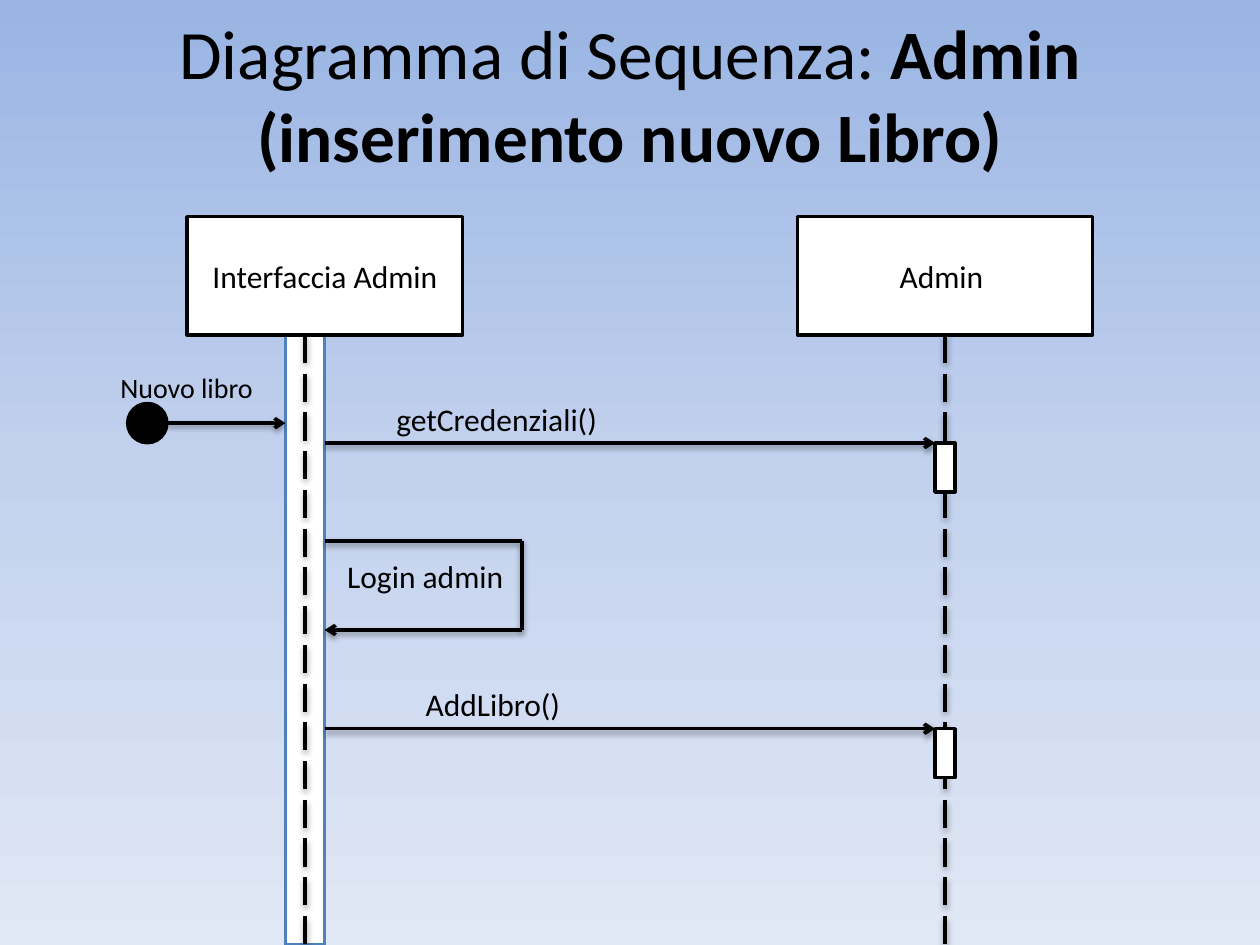
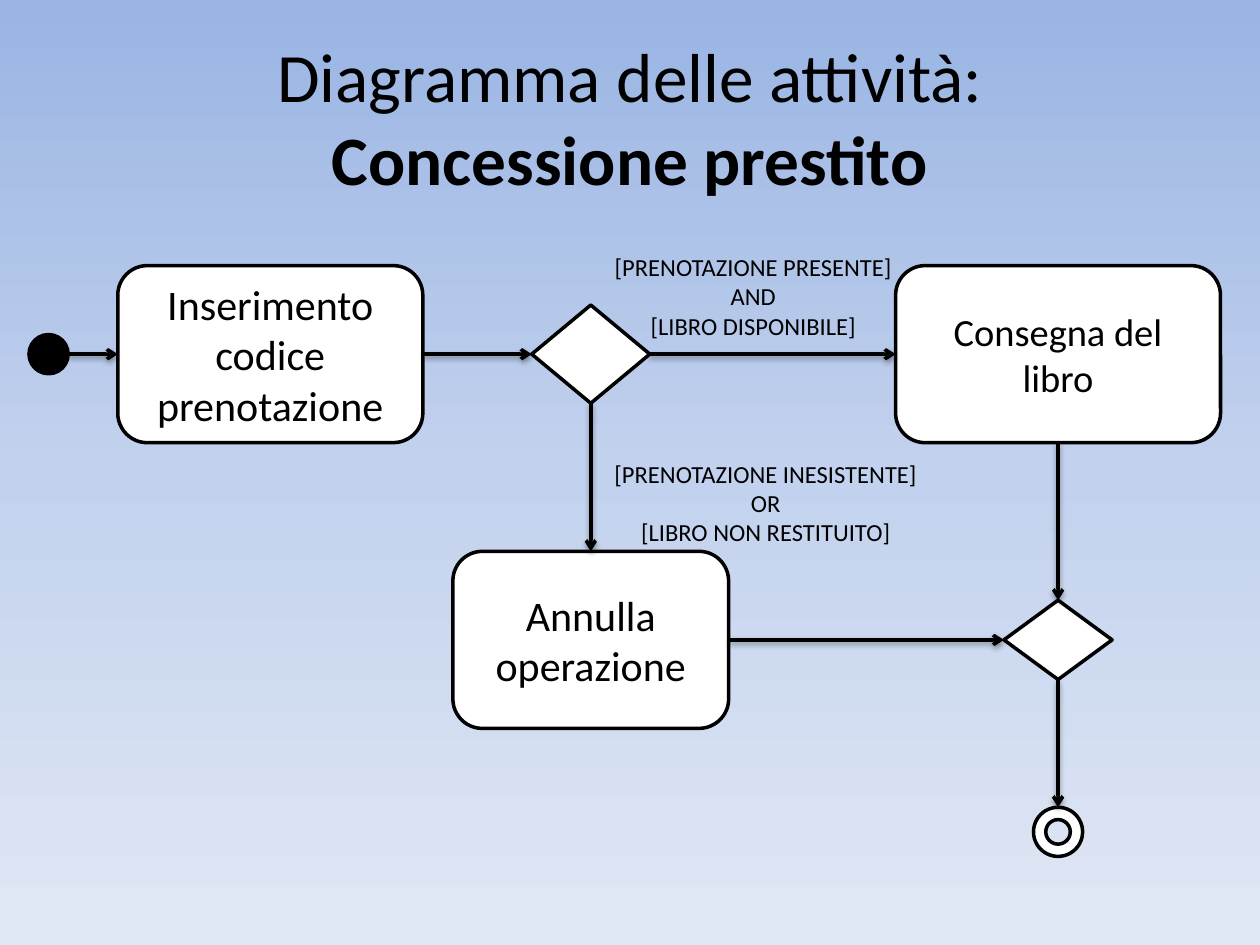
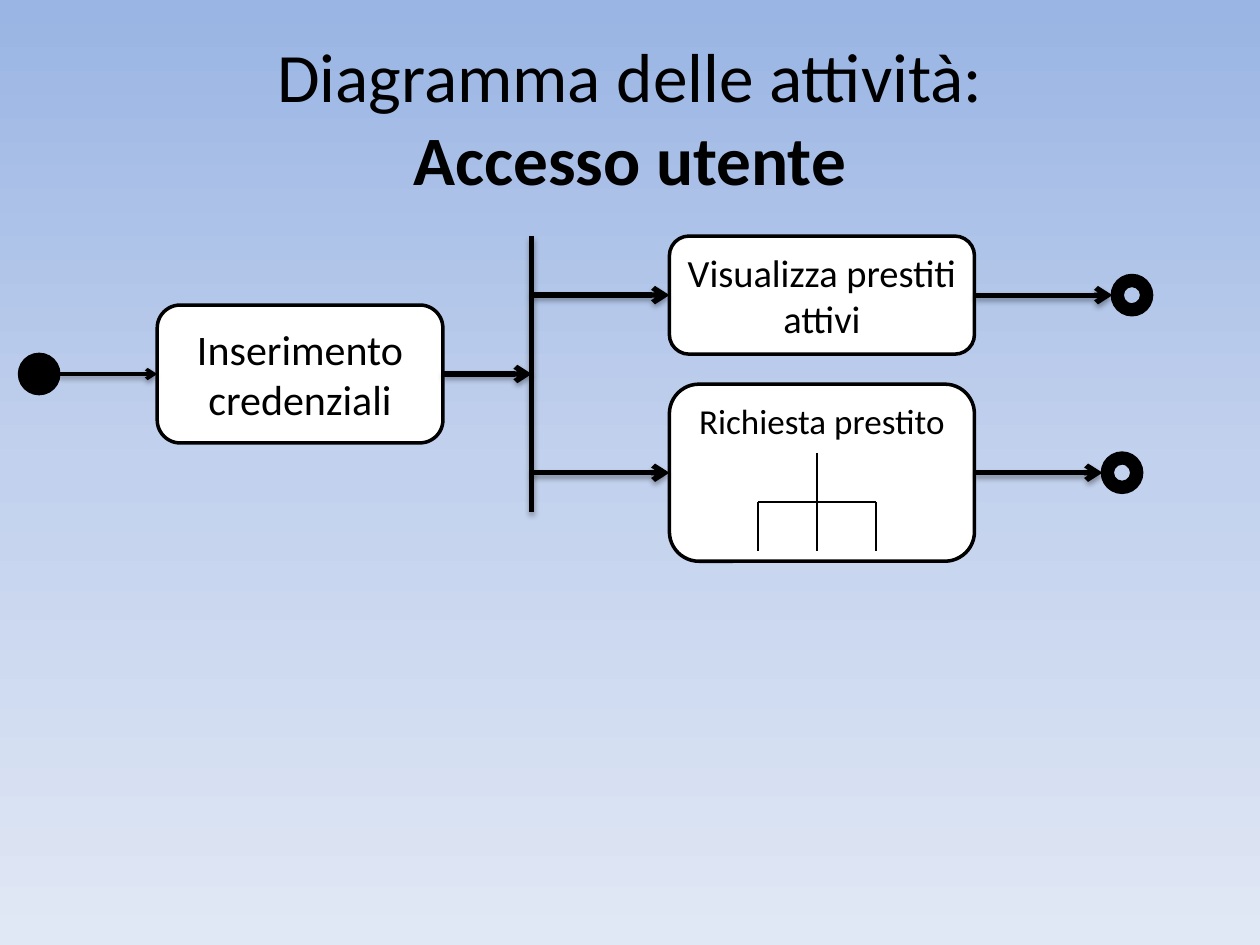
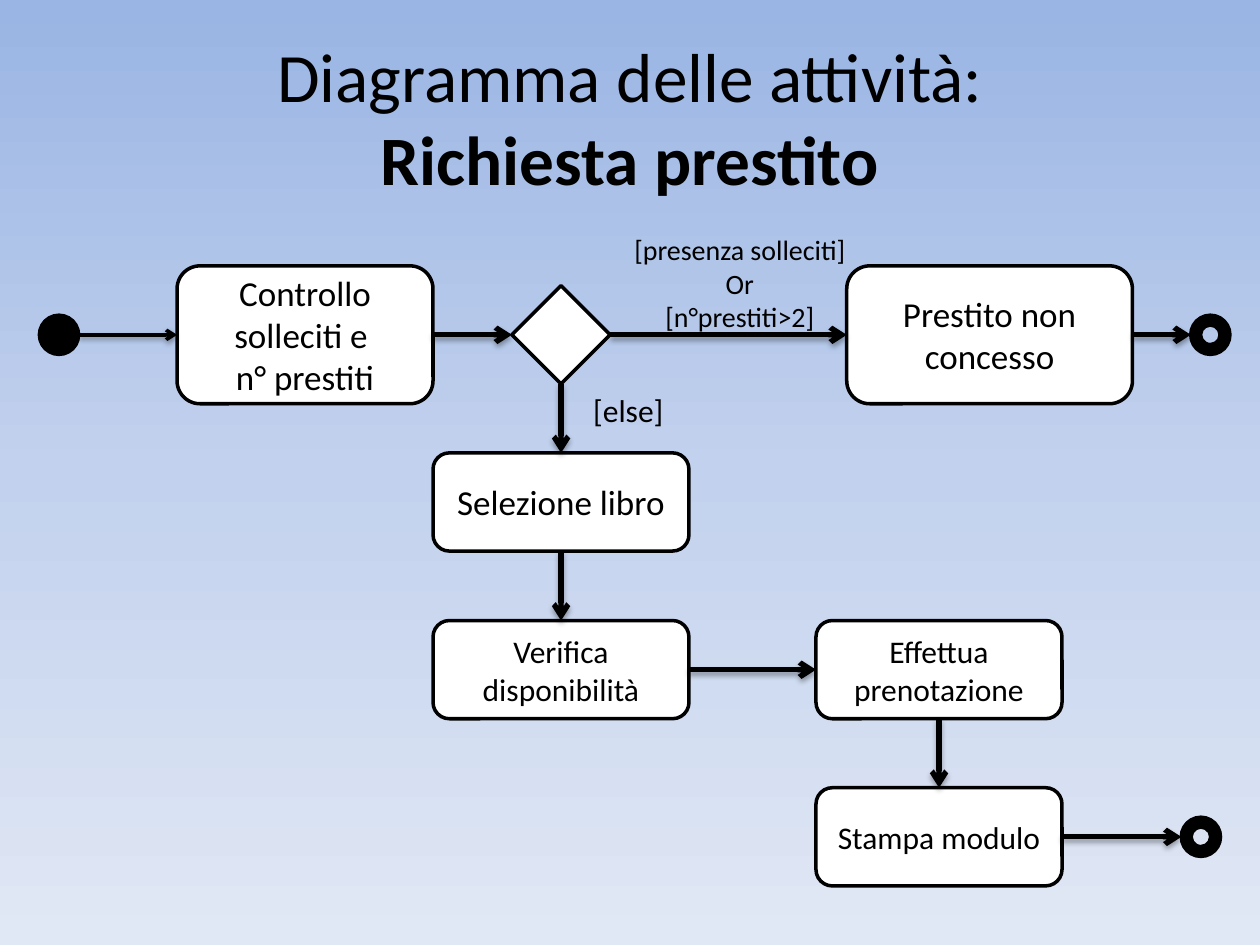
import copy

import lxml.etree
import pptx
import pptx.dml.color
import pptx.enum.dml
import pptx.enum.shapes
import pptx.enum.text
import pptx.oxml.ns
import pptx.util

Cm = pptx.util.Cm
Pt = pptx.util.Pt
RGB = pptx.dml.color.RGBColor
KIND = pptx.enum.shapes.MSO_SHAPE
ANCHOR = pptx.enum.text.MSO_ANCHOR
ALIGN = pptx.enum.text.PP_ALIGN
qn = pptx.oxml.ns.qn

BLACK = RGB(0x00, 0x00, 0x00)
WHITE = RGB(0xFF, 0xFF, 0xFF)
BLUE = RGB(0x4F, 0x81, 0xBD)
SKY = (RGB(0x9A, 0xB5, 0xE4), RGB(0xC2, 0xD1, 0xED), RGB(0xE1, 0xE8, 0xF5))
FONT = "Calibri"
SLIDE_W, SLIDE_H = 25.4, 19.05
DOT = 0.79
ACTIVITY_TITLE = (1.27, 0.76, 22.86, 3.18)


def add_run(p, text, size, bold=False):
    """Add one black run to a paragraph."""
    r = p.add_run()
    r.text = text
    r.font.name, r.font.size, r.font.bold = FONT, Pt(size), bold
    r.font.color.rgb = BLACK


def write(tf, lines, size, align):
    """Write one paragraph for each line."""
    for i, line in enumerate(lines):
        p = tf.paragraphs[0] if i == 0 else tf.add_paragraph()
        p.alignment = align
        add_run(p, line, size)


def title(s, box, plain, bold, break_after):
    """Write a two-line title; break_after is the part that ends line one."""
    tf = s.shapes.add_textbox(*map(Cm, box)).text_frame
    tf.word_wrap = True
    tf.vertical_anchor = ANCHOR.MIDDLE
    p = tf.paragraphs[0]
    p.alignment = ALIGN.CENTER
    parts = [(plain, False)] + [(text, True) for text in bold]
    for i, (text, is_bold) in enumerate(parts):
        add_run(p, text, 39.6, is_bold)
        if i == break_after:
            p.add_line_break()


class Board:
    """Drawing area whose lengths are centimetres from its top left corner."""

    def __init__(self, s, x, y, w, h):
        """Keep the slide and the box."""
        self.s, self.x, self.y, self.w, self.h = s, x, y, w, h

    def node(self, kind, cx, cy, w, h, lines=(), size=18, fill=WHITE,
             line=BLACK, anchor=ANCHOR.MIDDLE):
        """Add a shape around a centre point."""
        sp = self.s.shapes.add_shape(
            kind, Cm(self.x + cx - w / 2), Cm(self.y + cy - h / 2), Cm(w), Cm(h))
        sp.shadow.inherit = False
        sp.fill.solid()
        sp.fill.fore_color.rgb = fill
        sp.line.color.rgb = line
        sp.line.width = Pt(2)
        sp.text_frame.vertical_anchor = anchor
        write(sp.text_frame, lines, size, ALIGN.CENTER)
        return sp

    def action(self, cx, cy, w, h, lines, size, anchor=ANCHOR.MIDDLE):
        """Add a rounded activity box."""
        return self.node(KIND.ROUNDED_RECTANGLE, cx, cy, w, h, lines, size,
                         anchor=anchor)

    def start(self, cx, cy):
        """Add a start dot."""
        return self.node(KIND.OVAL, cx, cy, DOT, DOT, fill=BLACK)

    def end(self, cx, cy, d=DOT, fill=BLACK):
        """Add an end ring."""
        return self.node(KIND.DONUT, cx, cy, d, d, fill=fill)

    def label(self, x, y, w, h, lines, size, align=ALIGN.CENTER, wrap=False):
        """Add free text."""
        tf = self.s.shapes.add_textbox(
            Cm(self.x + x), Cm(self.y + y), Cm(w), Cm(h)).text_frame
        tf.word_wrap = wrap
        tf.auto_size = pptx.enum.text.MSO_AUTO_SIZE.SHAPE_TO_FIT_TEXT
        write(tf, lines, size, align)

    def line(self, x1, y1, x2, y2, **look):
        """Add a line between two points of the board."""
        points = (self.x + x1, self.y + y1, self.x + x2, self.y + y2)
        self.stroke(*map(Cm, points), **look)

    def across(self, a, b, width=3):
        """Point an arrow from the right of a to the left of b."""
        y = a.top + a.height // 2
        self.stroke(a.left + a.width, y, b.left, y, width, arrow=True)

    def down(self, a, b, width=3):
        """Point an arrow from the bottom of a to the top of b."""
        x = a.left + a.width // 2
        self.stroke(x, a.top + a.height, x, b.top, width, arrow=True)

    def stroke(self, x1, y1, x2, y2, width=2, arrow=False, dash=False, shadow=True):
        """Add a styled connector."""
        c = self.s.shapes.add_connector(
            pptx.enum.shapes.MSO_CONNECTOR.STRAIGHT, x1, y1, x2, y2)
        c.line.color.rgb = BLACK
        c.line.width = Pt(width)
        if dash:
            c.line.dash_style = pptx.enum.dml.MSO_LINE.LONG_DASH
        spPr = c.element.spPr
        if arrow:
            lxml.etree.SubElement(spPr.find(qn("a:ln")), qn("a:tailEnd"), type="arrow")
        effects = lxml.etree.SubElement(spPr, qn("a:effectLst"))
        if shadow:
            dist, alpha = ("23000", "35000") if width == 3 else ("20000", "38000")
            outer = lxml.etree.SubElement(
                effects, qn("a:outerShdw"), blurRad="40000", dist=dist,
                dir="5400000", rotWithShape="0")
            color = lxml.etree.SubElement(outer, qn("a:srgbClr"), val=str(BLACK))
            lxml.etree.SubElement(color, qn("a:alpha"), val=alpha)


def new_book_sequence(s, box):
    """Draw the sequence diagram for a new book."""
    b = Board(s, *box)
    head_h, strip_w, bar_w, bar_h = 2.38, 0.79, 0.4, 0.99
    strip_x, admin_x = 6.15, 19.05
    strip_right, bar_left = strip_x + strip_w / 2, admin_x - bar_w / 2
    start_x, start_y = 2.97, 4.16
    loop_right, loop_top, loop_bottom = 10.52, 6.54, 8.33
    calls = [(4.56, 7.74, 5.76, "getCredenziali()", True),
             (10.32, 8.33, 3.26, "AddLibro()", False)]

    b.node(KIND.RECTANGLE, strip_x, (head_h + b.h) / 2, strip_w, b.h - head_h,
           line=BLUE)
    for cx, w, name in [(6.55, 5.56, "Interfaccia Admin"), (19.05, 5.95, "Admin ")]:
        b.node(KIND.RECTANGLE, cx, head_h / 2, w, head_h, [name])
    for x in (strip_x, admin_x):
        b.line(x, head_h, x, b.h, dash=True)

    b.start(start_x, start_y)
    b.line(start_x + DOT / 2, start_y, strip_x - strip_w / 2, start_y, arrow=True)
    b.label(2.18, 2.97, 4.37, 0.94, ["Nuovo libro"], 16, ALIGN.LEFT, True)

    b.line(loop_right, loop_top, strip_right, loop_top)
    b.line(loop_right, loop_top, loop_right, loop_bottom)
    b.line(loop_right, loop_bottom, strip_right, loop_bottom, arrow=True)
    b.label(6.75, 6.74, 3.77, 1.03, ["Login admin"], 18, ALIGN.LEFT, True)

    for y, x, w, text, wrap in calls:
        b.line(strip_right, y, bar_left, y, arrow=True)
        b.label(x, y - 1, w, 1.03, [text], 18, ALIGN.LEFT, wrap)
        b.node(KIND.RECTANGLE, admin_x, y + bar_h / 2, bar_w, bar_h)


def loan_grant(s, box):
    """Draw the activity diagram for granting a loan."""
    b = Board(s, *box)
    top, low, mid, right, tall = 2.19, 7.95, 11.91, 21.33, 3.57
    start = b.start(0.98, top)
    code = b.action(5.45, top, 6.15, tall, ["Inserimento codice prenotazione"], 24)
    choice = b.node(KIND.DIAMOND, mid, top, 2.38, 1.98)
    deliver = b.action(right, top, 6.55, tall, ["Consegna del libro"], 22)
    cancel = b.action(mid, low, 5.56, tall, ["Annulla operazione"], 24)
    merge = b.node(KIND.DIAMOND, right, low, 2.18, 1.6)
    end = b.end(right, 11.82, 0.99, WHITE)
    for left_node, right_node in [(start, code), (code, choice), (choice, deliver),
                                  (cancel, merge)]:
        b.across(left_node, right_node, 2)
    for upper, lower in [(choice, cancel), (deliver, merge), (merge, end)]:
        b.down(upper, lower, 2)
    b.label(12.11, 0, 6.15, 2.06,
            ["[PRENOTAZIONE PRESENTE]", "AND", "[LIBRO DISPONIBILE]"], 14)
    b.label(12.11, 4.17, 6.65, 2.06,
            ["[PRENOTAZIONE INESISTENTE]", "OR", "[LIBRO NON RESTITUITO]"], 14)


def user_access(s, box):
    """Draw the activity diagram for user access."""
    b = Board(s, *box)
    axis, fork_x, task_x, task_w = 2.78, 10.72, 16.57, 6.15
    view_y, request_y = 1.19, 4.77
    start = b.start(0.79, axis)
    login = b.action(6.05, axis, 5.76, 2.78, ["Inserimento credenziali"], 24)
    view = b.action(task_x, view_y, task_w, 2.38, ["Visualizza prestiti attivi"], 22)
    request = b.action(task_x, request_y, task_w, 3.57, ["Richiesta prestito"], 20,
                       ANCHOR.TOP)
    b.across(start, login, 2)
    b.line(fork_x, 0, fork_x, b.h, width=3)
    b.line(8.93, axis, fork_x, axis, width=3, arrow=True)
    for task, y, end_x in [(view, view_y, 22.82), (request, request_y, 22.62)]:
        b.line(fork_x, y, task_x - task_w / 2, y, width=3, arrow=True)
        b.across(task, b.end(end_x, y))

    stem_x, reach, stem_y, fork_y, foot_y = 16.47, 1.19, 4.37, 5.36, 6.35
    left, right = stem_x - reach, stem_x + reach
    for points in [(stem_x, stem_y, stem_x, foot_y), (left, fork_y, right, fork_y),
                   (left, fork_y, left, foot_y), (right, fork_y, right, foot_y)]:
        b.line(*points, width=0.75, shadow=False)


def loan_request(s, box):
    """Draw the activity diagram for a loan request."""
    b = Board(s, *box)
    axis, mid, right, low = 2.18, 11.31, 18.93, 1.98
    book_y, check_y, print_y = 5.55, 8.93, 12.3
    start = b.start(1.19, axis)
    control = b.action(6.15, axis, 5.16, 2.78,
                       ["Controllo solleciti e ", "n° prestiti"], 20)
    choice = b.node(KIND.DIAMOND, mid, axis, low, low)
    refuse = b.action(19.95, axis, 5.76, 2.78, ["Prestito non concesso"], 20)
    select = b.action(mid, book_y, 5.16, low, ["Selezione libro"], 20)
    check = b.action(mid, check_y, 5.16, low, ["Verifica disponibilità"], 18)
    reserve = b.action(right, check_y, 4.96, low, ["Effettua prenotazione"], 18)
    form = b.action(right, print_y, 4.96, low, ["Stampa modulo"], 18)
    b.across(start, control, 2)
    for left_node, right_node in [(control, choice), (choice, refuse),
                                  (refuse, b.end(24.4, axis)), (check, reserve),
                                  (form, b.end(24.21, print_y))]:
        b.across(left_node, right_node)
    for upper, lower in [(choice, select), (select, check), (reserve, form)]:
        b.down(upper, lower)
    b.label(12.5, 0, 4.83, 2.31, ["[presenza solleciti]", "Or", "[n°prestiti>2]"], 16)
    b.label(11.71, 3.18, 1.93, 1.03, ["[else]"], 18, ALIGN.LEFT)


def sky_background(master):
    """Give every slide the three-stop vertical gradient."""
    fill = master.background.fill
    fill.gradient()
    fill.gradient_angle = 270
    stops = master.element.find(".//" + qn("a:gsLst"))
    stops.insert(1, copy.deepcopy(stops[0]))
    for stop, color, position in zip(fill.gradient_stops, SKY, (0, 0.5, 1)):
        stop.color.rgb = color
        stop.position = position


def main():
    """Build the four slides."""
    prs = pptx.Presentation()
    prs.slide_width, prs.slide_height = Cm(SLIDE_W), Cm(SLIDE_H)
    sky_background(prs.slide_master)
    blank = prs.slide_layouts[6]

    s = prs.slides.add_slide(blank)
    title(s, (0, 0, SLIDE_W, 3.76), "Diagramma di Sequenza: ",
          ["Admin", "(inserimento nuovo Libro)"], 1)
    new_book_sequence(s, (0, 4.37, SLIDE_W, 14.68))

    for name, draw, top, height in [
            ("Concessione prestito", loan_grant, 4.95, 12.32),
            ("Accesso utente", user_access, 4.76, 5.56),
            ("Richiesta prestito", loan_request, 4.57, 13.29)]:
        s = prs.slides.add_slide(blank)
        title(s, ACTIVITY_TITLE, "Diagramma delle attività:", [name], 0)
        draw(s, (0, top, SLIDE_W, height))

    prs.save("out.pptx")


if __name__ == "__main__":
    main()
